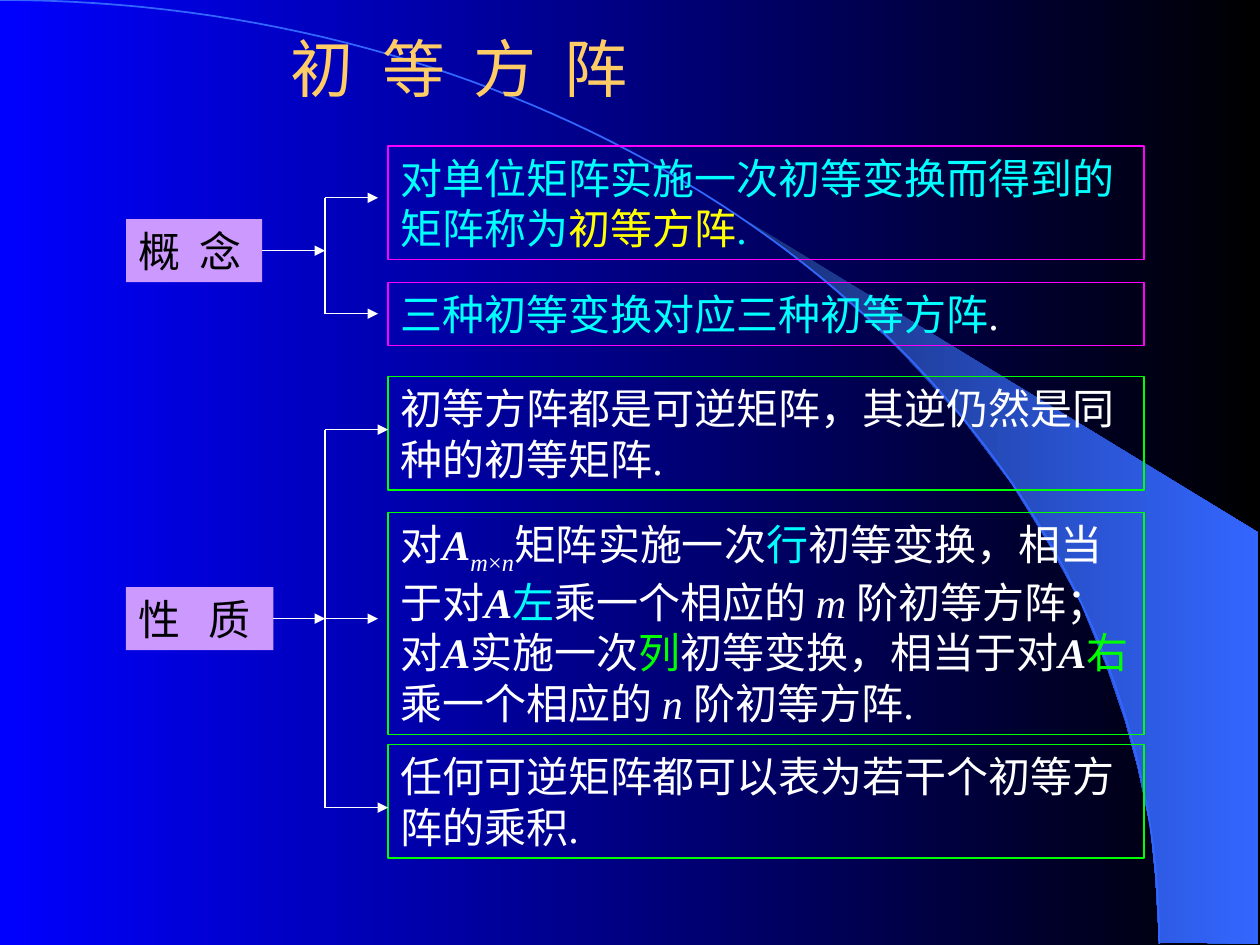
import pptx
import pptx.util
import pptx.dml.color
import pptx.enum.shapes
import pptx.enum.text
import pptx.oxml.ns
import lxml.etree

Inches = pptx.util.Inches
Pt = pptx.util.Pt
RGB = pptx.dml.color.RGBColor
RECT = pptx.enum.shapes.MSO_SHAPE.RECTANGLE
LINE = pptx.enum.shapes.MSO_CONNECTOR.STRAIGHT
ANCHOR = pptx.enum.text.MSO_ANCHOR

BLUE = RGB(0x00, 0x00, 0xFF)
BLACK = RGB(0x00, 0x00, 0x00)
NAVY = RGB(0x18, 0x2F, 0x76)
SKY = RGB(0x33, 0x66, 0xFF)
GOLD = RGB(0xFF, 0xCC, 0x66)
LILAC = RGB(0xCC, 0x99, 0xFF)
WHITE = RGB(0xFF, 0xFF, 0xFF)
CYAN = RGB(0x00, 0xFF, 0xFF)
YELLOW = RGB(0xFF, 0xFF, 0x00)
GREEN = RGB(0x00, 0xFF, 0x00)
PINK = RGB(0xFF, 0x00, 0xFF)

# Styles of a run: colour, bold, italic, subscript
PLAIN = (WHITE, False, False, False)
DARK = (BLACK, False, False, False)
TITLE = (GOLD, False, False, False)
AQUA = (CYAN, False, False, False)
KEY = (YELLOW, False, False, False)
LIME = (GREEN, False, False, False)
BOLD = (WHITE, True, True, False)
SLANT = (WHITE, False, True, False)
SUB = (WHITE, False, False, True)
SUBIT = (WHITE, False, True, True)

HEAD = [("初  等  方  阵", TITLE)]

# Each group: label, label top and width, box line colour,
# boxes (top, height, runs), arrows (y, end x)
GROUPS = [
    ("概  念", 1.74, 1.08, PINK, [
        (1.16, 0.9, [("对单位矩阵实施一次初等变换而得到的矩阵称为", AQUA),
                     ("初等方阵", KEY), (".", AQUA)]),
        (2.24, 0.5, [("三种初等变换对应三种初等方阵", AQUA), (".", PLAIN)]),
    ], [(1.57, 3), (2.49, 3)]),
    ("性   质", 4.66, 1.17, GREEN, [
        (2.99, 0.9, [("初等方阵都是可逆矩阵，其逆仍然是同种的初等矩阵.", PLAIN)]),
        (4.07, 1.76, [
            ("对", PLAIN), ("A", BOLD), ("m", SUBIT), ("×", SUB), ("n", SUBIT),
            ("矩阵实施一次", PLAIN), ("行", AQUA),
            ("初等变换，相当于对", PLAIN), ("A", BOLD), ("左", AQUA),
            ("乘一个相应的 ", PLAIN), ("m ", SLANT),
            ("阶初等方阵；对", PLAIN), ("A", BOLD),
            ("实施一次", PLAIN), ("列", LIME),
            ("初等变换，相当于对", PLAIN), ("A", BOLD), ("右", LIME),
            ("乘一个相应的 ", PLAIN), ("n ", SLANT), ("阶初等方阵.", PLAIN)]),
        (5.91, 0.9, [("任何可逆矩阵都可以表为若干个初等方阵的乘积.", PLAIN)]),
    ], [(3.41, 3.08), (4.91, 3), (6.41, 3.08)]),
]
LEFT, TRUNK, BOX, WIDE, TALL = 1, 2.58, 3.08, 6, 0.5

BEAM = [(9.2, 7.48), (9.99, 7.49), (9.99, 4.23), (5.89, 1.73), (6.24, 1.99),
        (6.53, 2.22), (6.85, 2.5), (7.16, 2.8), (7.62, 3.3), (8.03, 3.84),
        (8.32, 4.31), (8.58, 4.79), (8.78, 5.28), (8.93, 5.72), (9.03, 6.09),
        (9.13, 6.56), (9.17, 6.96)]
CURVE = [(0, 0), (5.08, 0), (9.2, 3.35), (9.2, 7.49)]
STEPS = 80

deck = pptx.Presentation()
deck.slide_width, deck.slide_height = Inches(10), Inches(7.5)
slide = deck.slides.add_slide(deck.slide_layouts[6])
shapes = slide.shapes


def blend(fill, start, end):
    """Fill with a gradient from left to right."""
    fill.gradient()
    fill.gradient_angle = 0
    for stop, color in zip(fill.gradient_stops, (start, end)):
        stop.color.rgb = color


def write(shape, runs, size=24, font="Times New Roman", anchor=ANCHOR.TOP):
    frame = shape.text_frame
    frame.word_wrap = True
    frame.vertical_anchor = anchor
    para = frame.paragraphs[0]
    para.alignment = pptx.enum.text.PP_ALIGN.LEFT
    for text, (color, bold, slant, sub) in runs:
        run = para.add_run()
        run.text = text
        face = run.font
        face.name, face.size = font, Pt(size)
        face.bold, face.italic = bold, slant
        face.color.rgb = color
        if sub:
            run._r.get_or_add_rPr().set("baseline", "-25000")


def panel(x, y, w, h, runs, fill=None, edge=None):
    box = shapes.add_shape(RECT, Inches(x), Inches(y), Inches(w), Inches(h))
    box.shadow.inherit = False
    if fill is None:
        box.fill.background()
    else:
        box.fill.solid()
        box.fill.fore_color.rgb = fill
    if edge is None:
        box.line.fill.background()
    else:
        box.line.color.rgb = edge
        box.line.width = Pt(0.75)
    write(box, runs)
    return box


def link(x1, y1, x2, y2, arrow=True):
    line = shapes.add_connector(LINE, Inches(x1), Inches(y1), Inches(x2), Inches(y2))
    line.line.color.rgb = WHITE
    line.line.width = Pt(0.75)
    qn = pptx.oxml.ns.qn
    if arrow:
        tip = lxml.etree.SubElement(line.line._get_or_add_ln(), qn("a:tailEnd"))
        tip.set("type", "triangle")
    lxml.etree.SubElement(line._element.spPr, qn("a:effectLst"))
    return line


def trace(points, close):
    pts = [(Inches(x), Inches(y)) for x, y in points]
    pen = shapes.build_freeform(*pts[0])
    pen.add_line_segments(pts[1:], close=close)
    form = pen.convert_to_shape()
    form.shadow.inherit = False
    return form


def bezier(t):
    """Point of the cubic curve at t."""
    u = 1 - t
    parts = (u ** 3, 3 * u * u * t, 3 * u * t * t, t ** 3)
    return tuple(sum(k * p[i] for k, p in zip(parts, CURVE)) for i in (0, 1))


blend(slide.background.fill, BLUE, BLACK)

beam = trace(BEAM, True)
blend(beam.fill, NAVY, SKY)
beam.line.fill.background()

arc = trace([bezier(n / STEPS) for n in range(STEPS + 1)], False)
arc.fill.background()
arc.line.color.rgb = SKY
arc.line.width = Pt(1)

title = shapes.add_textbox(Inches(2.21), Inches(0.16), Inches(5.12), Inches(0.75))
write(title, HEAD, size=36, font="Arial", anchor=ANCHOR.MIDDLE)

for name, top, width, edge, boxes, arrows in GROUPS:
    label = panel(LEFT, top, width, TALL, [(name, DARK)], fill=LILAC)
    for y, h, runs in boxes:
        panel(BOX, y, WIDE, h, runs, edge=edge)
    link(TRUNK, arrows[0][0], TRUNK, arrows[-1][0], arrow=False)
    mid = top + TALL / 2
    link(LEFT + width, mid, TRUNK, mid).begin_connect(label, 3)
    for y, end in arrows:
        link(TRUNK, y, end, y)

deck.save("out.pptx")
